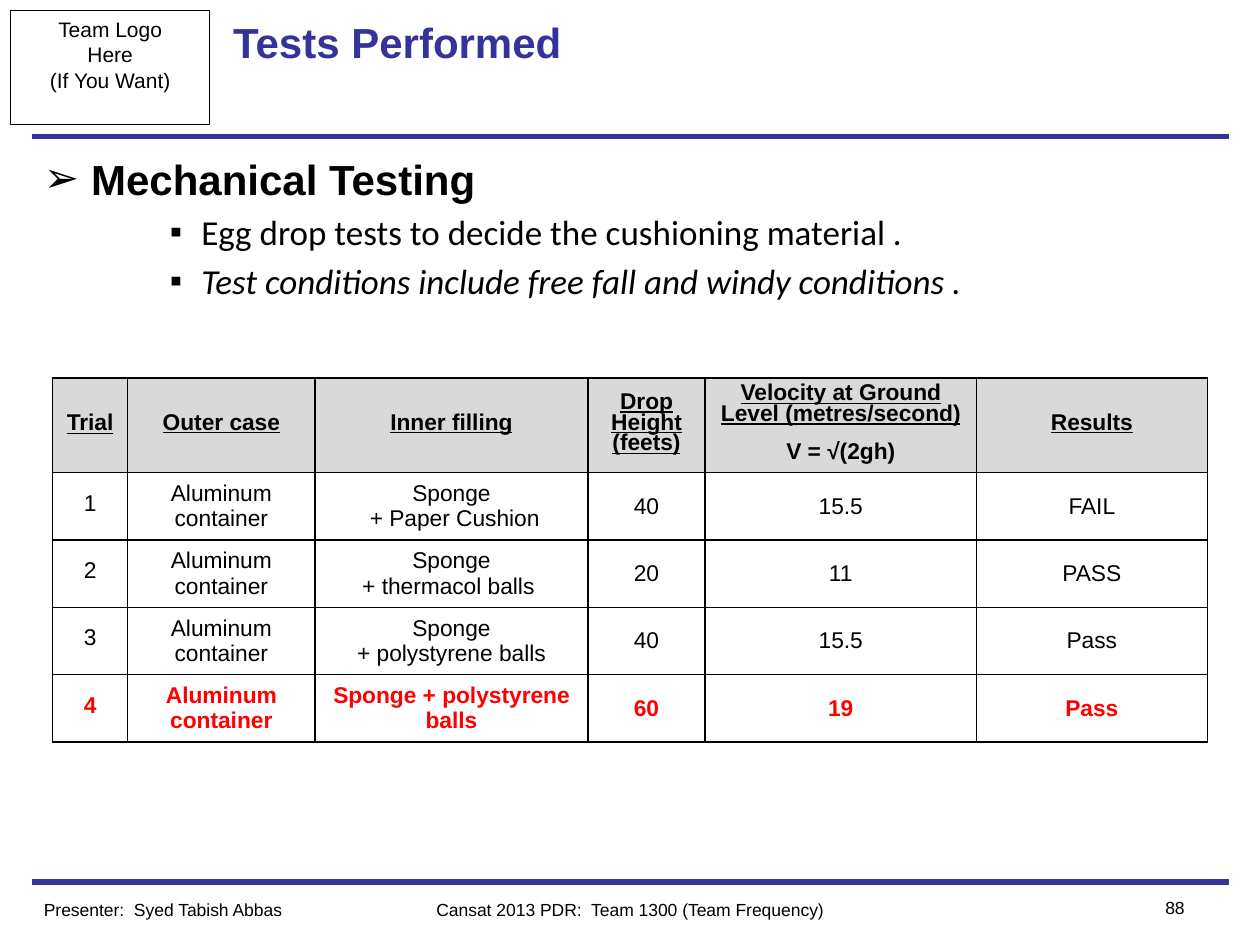
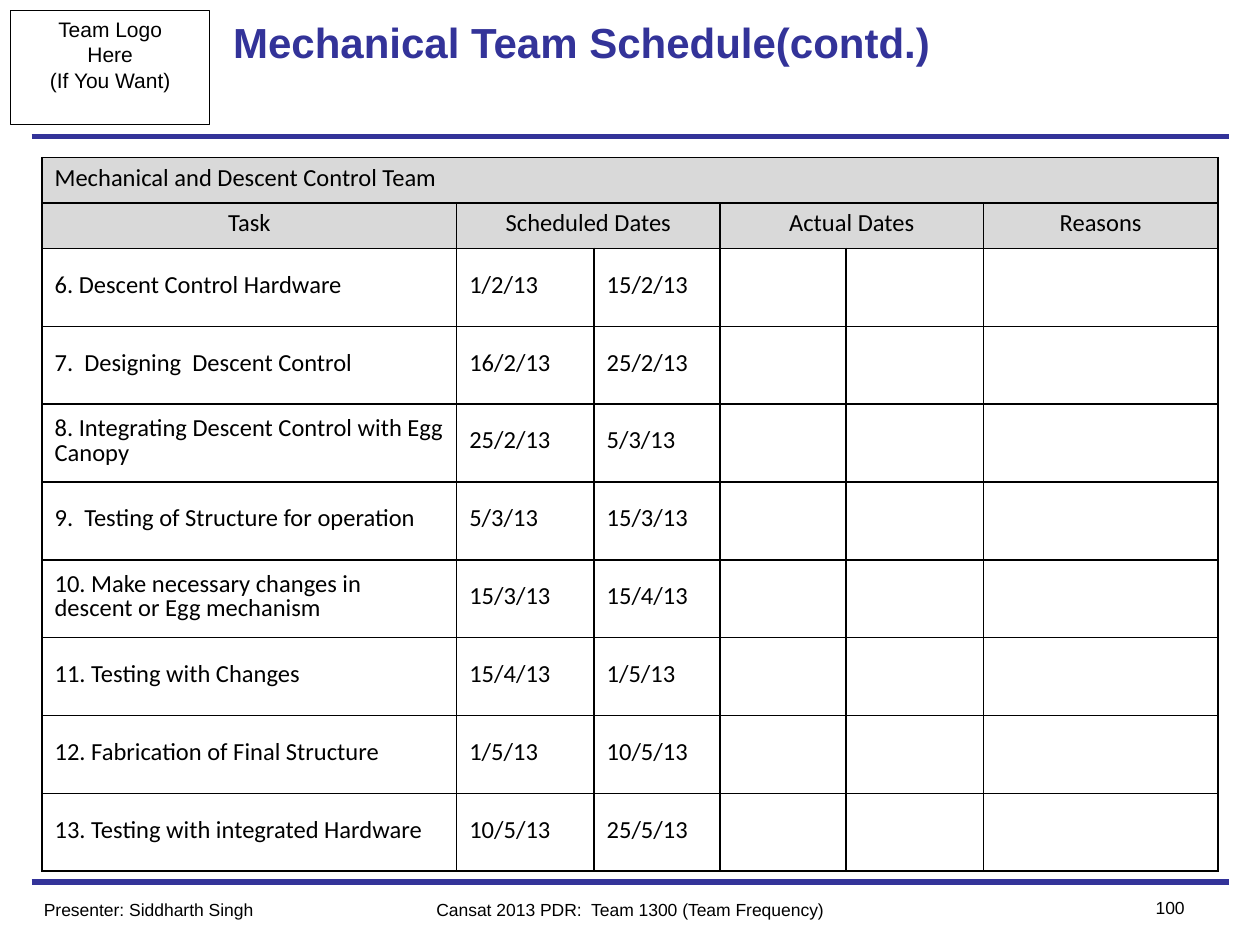
import pptx
import pptx.dml.color
import pptx.enum.shapes
import pptx.enum.text
import pptx.oxml
import pptx.oxml.ns
import pptx.util
from lxml import etree

Pt = pptx.util.Pt
ALIGN = pptx.enum.text.PP_ALIGN
ANCHOR = pptx.enum.text.MSO_ANCHOR
qn = pptx.oxml.ns.qn

NAVY = "333399"
BLACK = "000000"
RED = "FF0000"
GRAY = "D9D9D9"
HEADING_FONT = "Arial"
BODY_FONT = "Calibri"
TEAM_LINE = "Cansat 2013 PDR:  Team 1300 (Team Frequency)"


def color(hex_string):
    return pptx.dml.color.RGBColor.from_string(hex_string)


def add_span(para, text, size, font=HEADING_FONT, ink=BLACK, bold=False,
             italic=False, underline=False):
    span = para.add_run()
    span.text = text
    span.font.size = Pt(size)
    span.font.name = font
    span.font.color.rgb = color(ink)
    span.font.bold = bold
    span.font.italic = italic
    span.font.underline = underline


def fill_frame(frame, lines, size, align=ALIGN.LEFT, spacing=None, after=None, **style):
    for index, text in enumerate(lines):
        para = frame.paragraphs[0] if index == 0 else frame.add_paragraph()
        para.alignment = align
        if spacing:
            para.line_spacing = spacing
        if after is not None:
            para.space_after = Pt(after)
        add_span(para, text, size, **style)


def add_text(page, left, top, width, height, text, align=ALIGN.LEFT):
    box = page.shapes.add_textbox(Pt(left), Pt(top), Pt(width), Pt(height))
    box.text_frame.word_wrap = True
    fill_frame(box.text_frame, [text], 10, align)


def add_rule(page, left, top, width):
    rule = page.shapes.add_connector(
        pptx.enum.shapes.MSO_CONNECTOR.STRAIGHT,
        Pt(left), Pt(top), Pt(left + width), Pt(top))
    rule.line.color.rgb = color(NAVY)
    rule.line.width = Pt(3)
    etree.SubElement(rule._element.spPr, qn("a:effectLst"))


def add_team_box(page, left, top, width, height):
    box = page.shapes.add_shape(pptx.enum.shapes.MSO_SHAPE.RECTANGLE,
                                Pt(left), Pt(top), Pt(width), Pt(height))
    box.shadow.inherit = False
    box.fill.background()
    box.line.color.rgb = color(BLACK)
    box.line.width = Pt(0.5)
    box.text_frame.word_wrap = False
    box.text_frame.vertical_anchor = ANCHOR.TOP
    fill_frame(box.text_frame, ["Team Logo", "Here", "(If You Want)"], 12, ALIGN.CENTER)


def place_title(page, left, top, width, height, text):
    title = page.shapes.title
    title.left, title.top = Pt(left), Pt(top)
    title.width, title.height = Pt(width), Pt(height)
    frame = title.text_frame
    frame.auto_size = pptx.enum.text.MSO_AUTO_SIZE.NONE
    frame.word_wrap = True
    frame.vertical_anchor = ANCHOR.TOP
    fill_frame(frame, [text], 24, ink=NAVY, bold=True)


def add_footer(page, left, top, width, presenter, number):
    add_text(page, left, top, 180, 19.5, presenter)
    add_text(page, left + (width - 288) / 2, top, 288, 19.5, TEAM_LINE, ALIGN.CENTER)
    add_text(page, left + width - 72, top - 1, 54, 19.5, number, ALIGN.RIGHT)


def start_page(deck, title, presenter, number):
    page = deck.slides.add_slide(deck.slide_layouts[5])
    for top in (504, 78):
        add_rule(page, 18, top, 684)
    add_team_box(page, 6, 6, 114, 65)
    place_title(page, 126, 6, 468, 66, title)
    add_footer(page, 18, 510, 684, presenter, number)
    return page


def set_bullet(para, symbol, margin, hang):
    properties = para._p.get_or_add_pPr()
    properties.set("marL", str(Pt(margin)))
    properties.set("indent", str(-Pt(hang)))
    etree.SubElement(properties, qn("a:buFont"), typeface=HEADING_FONT)
    etree.SubElement(properties, qn("a:buChar"), char=symbol)


def add_testing_points(page, left, top, width, height):
    box = page.shapes.add_textbox(Pt(left), Pt(top), Pt(width), Pt(height))
    frame = box.text_frame
    frame.word_wrap = True
    heading = frame.paragraphs[0]
    set_bullet(heading, "➢", 27, 27)
    add_span(heading, "Mechanical Testing", 24, bold=True)
    points = [("Egg drop tests to decide the cushioning material .", False),
              ("Test conditions include free fall and windy conditions .", True)]
    for text, italic in points:
        para = frame.add_paragraph()
        para.level = 2
        set_bullet(para, "▪", 90, 18)
        para.space_before = Pt(4)
        add_span(para, text, 20, BODY_FONT, italic=italic)


def add_grid(page, left, top, widths, heights):
    holder = page.shapes.add_table(len(heights), len(widths), Pt(left), Pt(top),
                                   Pt(sum(widths)), Pt(sum(heights)))
    table = holder.table
    table.first_row = False
    table.horz_banding = False
    for column, width in zip(table.columns, widths):
        column.width = Pt(width)
    for row, height in zip(table.rows, heights):
        row.height = Pt(height)
    for cell in table.iter_cells():
        add_borders(cell)
        cell.fill.background()
        cell.vertical_anchor = ANCHOR.MIDDLE
    return table


def add_borders(cell):
    properties = cell._tc.get_or_add_tcPr()
    for side in ("lnL", "lnR", "lnT", "lnB"):
        line = etree.SubElement(properties, qn("a:" + side), w=str(Pt(1)))
        paint = etree.SubElement(line, qn("a:solidFill"))
        etree.SubElement(paint, qn("a:srgbClr"), val=BLACK)


def shade(cell):
    cell.fill.solid()
    cell.fill.fore_color.rgb = color(GRAY)


def add_trials_table(page, left, top):
    headers = ["Trial", "Outer case", "Inner filling", "Drop Height (feets)",
               "Velocity at Ground Level (metres/second)", "Results"]
    trials = [
        (["Sponge", " + Paper Cushion"], "40", "15.5", "FAIL"),
        (["Sponge", "+ thermacol balls "], "20", "11", "PASS"),
        (["Sponge", "+ polystyrene balls"], "40", "15.5", "Pass"),
        (["Sponge + polystyrene balls"], "60", "19", "Pass"),
    ]
    table = add_grid(page, left, top, [43, 107, 156, 67, 155, 132],
                     [53.5] + [38.5] * len(trials))
    tight = dict(align=ALIGN.CENTER, spacing=0.82, after=10)

    for column, header in enumerate(headers):
        cell = table.cell(0, column)
        cell.margin_top = Pt(2)
        shade(cell)
        fill_frame(cell.text_frame, [header], 13, bold=True, underline=True, **tight)
    table.cell(0, 0).text_frame.paragraphs[0].line_spacing = 0.93
    formula = table.cell(0, 4).text_frame.add_paragraph()
    formula.alignment = ALIGN.CENTER
    formula.line_spacing = 0.82
    formula.space_after = Pt(10)
    add_span(formula, "V = √(2gh)", 13, bold=True)

    for number, (filling, drop, velocity, result) in enumerate(trials, 1):
        chosen = number == len(trials)
        style = dict(ink=RED if chosen else BLACK, bold=chosen)
        number_cell = table.cell(number, 0)
        number_cell.margin_top = Pt(2)
        fill_frame(number_cell.text_frame, [str(number)], 13, **tight, **style)
        values = [["Aluminum container"], filling, [drop], [velocity], [result]]
        for column, lines in enumerate(values, 1):
            fill_frame(table.cell(number, column).text_frame, lines, 13,
                       ALIGN.CENTER, **style)


def add_schedule_table(page, left, top):
    tasks = [
        ("6. Descent Control Hardware", "1/2/13", "15/2/13"),
        ("7.  Designing  Descent Control", "16/2/13", "25/2/13"),
        ("8. Integrating Descent Control with Egg Canopy", "25/2/13", "5/3/13"),
        ("9.  Testing of Structure for operation", "5/3/13", "15/3/13"),
        ("10. Make necessary changes in descent or Egg mechanism", "15/3/13", "15/4/13"),
        ("11. Testing with Changes", "15/4/13", "1/5/13"),
        ("12. Fabrication of Final Structure", "1/5/13", "10/5/13"),
        ("13. Testing with integrated Hardware", "10/5/13", "25/5/13"),
    ]
    table = add_grid(page, left, top, [237, 78.5, 72, 72, 78.5, 134],
                     [26] * 2 + [44.5] * len(tasks))
    for row, first, last in [(0, 0, 5), (1, 1, 2), (1, 3, 4)]:
        table.cell(row, first).merge(table.cell(row, last))
    for row in range(2):
        for column in range(6):
            shade(table.cell(row, column))

    def write(row, column, text, align=ALIGN.LEFT):
        cell = table.cell(row, column)
        cell.margin_top = Pt(2)
        fill_frame(cell.text_frame, [text], 14, align, spacing=0.82, font=BODY_FONT)

    write(0, 0, "Mechanical and Descent Control Team")
    headers = {0: "Task", 1: "Scheduled Dates", 3: "Actual Dates", 5: "Reasons"}
    for column, header in headers.items():
        write(1, column, header, ALIGN.CENTER)
    for row, task in enumerate(tasks, 2):
        for column, text in enumerate(task):
            write(row, column, text)


def main():
    deck = pptx.Presentation()
    deck.slide_width, deck.slide_height = Pt(720), Pt(540)

    tests = start_page(deck, "Tests Performed", "Presenter:  Syed Tabish Abbas", "88")
    add_testing_points(tests, 18, 84, 678, 102)
    add_trials_table(tests, 30, 216)

    schedule = start_page(deck, "Mechanical Team Schedule(contd.)",
                          "Presenter: Siddharth Singh", "100")
    add_schedule_table(schedule, 24, 90)

    deck.save("out.pptx")


if __name__ == "__main__":
    main()
